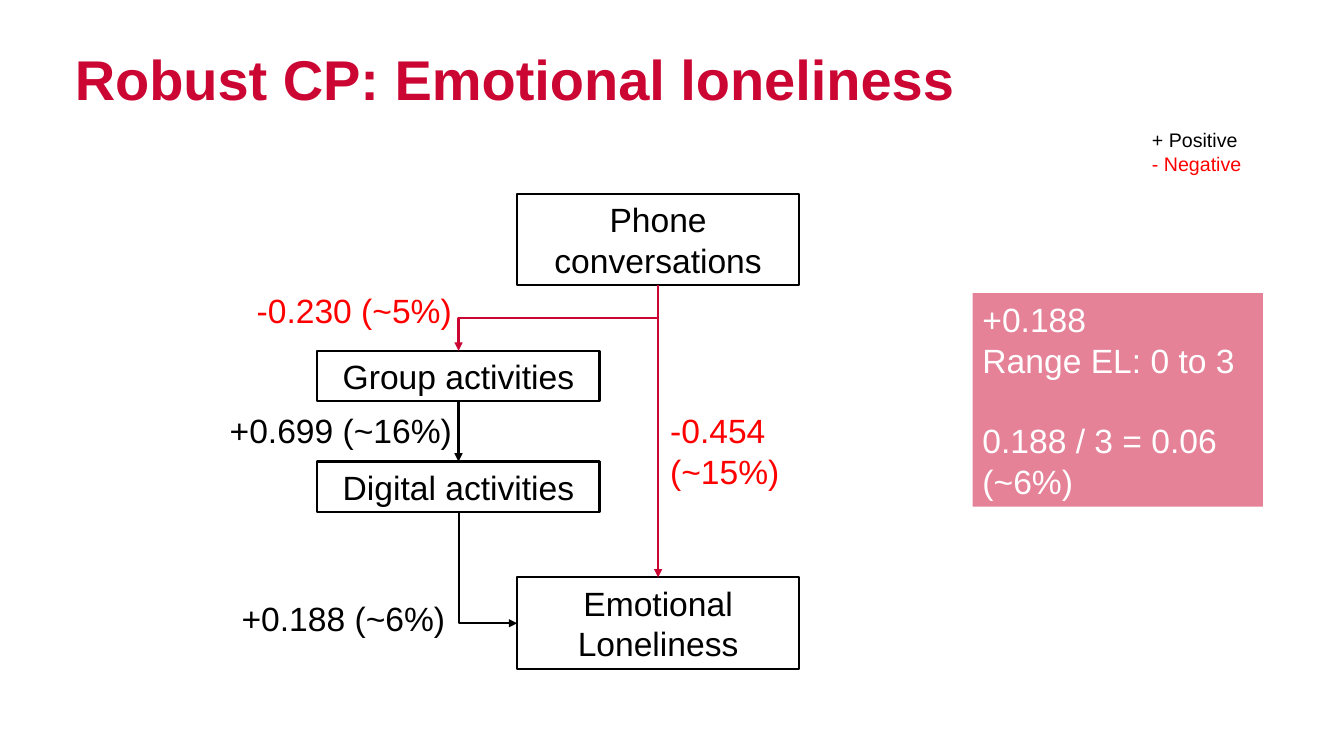
import dataclasses

import pptx
import pptx.dml.color
import pptx.enum.dml
import pptx.enum.shapes
import pptx.enum.text
import pptx.oxml
import pptx.oxml.ns
import pptx.oxml.xmlchemy
import pptx.shapes.autoshape
import pptx.shapes.connector
import pptx.slide
import pptx.text.text
import pptx.util
from pptx.util import Cm

Align = pptx.enum.text.PP_ALIGN
Connector = pptx.shapes.connector.Connector
Shape = pptx.shapes.autoshape.Shape
TOP, LEFT, BOTTOM = 0, 1, 2


@dataclasses.dataclass(frozen=True)
class Theme:
    font: str = "Arial"
    crimson: str = "CC0633"
    red: str = "FF0000"
    black: str = "000000"
    white: str = "FFFFFF"
    title_size: float = 40
    body_size: float = 24
    legend_size: float = 14
    line_width: float = 1.5
    panel_opacity: int = 50


@dataclasses.dataclass(frozen=True)
class Line:
    text: str
    color: str
    gap_before: float = 0


@dataclasses.dataclass(frozen=True)
class Block:
    lines: tuple[Line, ...]
    left: float
    top: float
    width: float
    height: float
    size: float


@dataclasses.dataclass(frozen=True)
class Path:
    start: str
    end: str
    color: str
    end_side: int = TOP
    bend: str = ""


THEME = Theme()


def rgb(color: str) -> pptx.dml.color.RGBColor:
    return pptx.dml.color.RGBColor.from_string(color)


def write(para: "pptx.text.text._Paragraph", text: str, *, color: str, size: float,
          align: Align = Align.LEFT, bold: bool = False, gap_before: float = 0) -> None:
    para.alignment = align
    para.space_before = pptx.util.Pt(gap_before)
    span = para.add_run()
    span.text = text
    span.font.name = THEME.font
    span.font.size = pptx.util.Pt(size)
    span.font.bold = bold
    span.font.color.rgb = rgb(color)


def fill_text(box: Shape, block: Block, align: Align = Align.LEFT) -> None:
    frame = box.text_frame
    frame.word_wrap = True
    frame.auto_size = pptx.enum.text.MSO_AUTO_SIZE.SHAPE_TO_FIT_TEXT
    for index, line in enumerate(block.lines):
        para = frame.add_paragraph() if index else frame.paragraphs[0]
        write(para, line.text, color=line.color, size=block.size,
              align=align, gap_before=line.gap_before)


def bounds(block: Block) -> tuple[Cm, Cm, Cm, Cm]:
    return Cm(block.left), Cm(block.top), Cm(block.width), Cm(block.height)


def add_label(page: pptx.slide.Slide, block: Block) -> None:
    fill_text(page.shapes.add_textbox(*bounds(block)), block)


def add_rectangle(page: pptx.slide.Slide, block: Block, fill: str, align: Align) -> Shape:
    box = page.shapes.add_shape(pptx.enum.shapes.MSO_SHAPE.RECTANGLE, *bounds(block))
    box.shadow.inherit = False
    box.fill.solid()
    box.fill.fore_color.rgb = rgb(fill)
    box.line.fill.background()
    fill_text(box, block, align)
    return box


def add_node(page: pptx.slide.Slide, block: Block) -> Shape:
    box = add_rectangle(page, block, THEME.white, Align.CENTER)
    box.line.color.rgb = rgb(THEME.black)
    box.line.width = pptx.util.Pt(THEME.line_width)
    return box


def add_panel(page: pptx.slide.Slide, block: Block) -> None:
    box = add_rectangle(page, block, THEME.crimson, Align.LEFT)
    tint = box.element.spPr.find(pptx.oxml.ns.qn("a:solidFill"))[0]
    alpha = pptx.oxml.xmlchemy.OxmlElement("a:alpha")
    alpha.set("val", str(THEME.panel_opacity * 1000))
    tint.append(alpha)


def bend_downwards(arrow: Connector, preset: str) -> None:
    """Turn an elbow so that it leaves its start vertically."""
    across, down = arrow.end_x - arrow.begin_x, arrow.end_y - arrow.begin_y
    middle_x = (arrow.begin_x + arrow.end_x) // 2
    middle_y = (arrow.begin_y + arrow.end_y) // 2
    frame = arrow.element.spPr.find(pptx.oxml.ns.qn("a:xfrm"))
    frame.set("flipV", "0")
    frame.set("flipH", "1" if across > 0 else "0")
    frame.set("rot", str((270 if across > 0 else 90) * 60000))
    arrow.width, arrow.height = abs(down), abs(across)
    arrow.left, arrow.top = middle_x - abs(down) // 2, middle_y - abs(across) // 2
    arrow.element.spPr.find(pptx.oxml.ns.qn("a:prstGeom")).set("prst", preset)


def add_path(page: pptx.slide.Slide, path: Path, nodes: dict[str, Shape]) -> None:
    kinds = pptx.enum.shapes.MSO_CONNECTOR
    arrow = page.shapes.add_connector(
        kinds.ELBOW if path.bend else kinds.STRAIGHT, Cm(0), Cm(0), Cm(0), Cm(0))
    arrow.begin_connect(nodes[path.start], BOTTOM)
    arrow.end_connect(nodes[path.end], path.end_side)
    if path.bend:
        bend_downwards(arrow, path.bend)
    arrow.line.color.rgb = rgb(path.color)
    arrow.line.width = pptx.util.Pt(THEME.line_width)
    head = pptx.oxml.xmlchemy.OxmlElement("a:tailEnd")
    head.set("type", "triangle")
    arrow.line._get_or_add_ln().append(head)
    arrow.element.spPr.append(pptx.oxml.xmlchemy.OxmlElement("a:effectLst"))


def node(text: str, left: float, top: float, height: float) -> Block:
    return Block((Line(text, THEME.black),), left, top, 7.11, height, THEME.body_size)


def label(text: str, color: str, left: float, top: float, width: float,
          height: float = 1.27) -> Block:
    return Block((Line(text, color),), left, top, width, height, THEME.body_size)


NODES = {
    "phone": node("Phone conversations", 13.03, 4.88, 2.31),
    "group": node("Group activities", 8, 8.84, 1.27),
    "digital": node("Digital activities", 8, 11.63, 1.27),
    "loneliness": node("Emotional Loneliness", 13.03, 14.55, 2.31),
}
PATHS = (
    Path("phone", "group", THEME.crimson, bend="bentConnector3"),
    Path("phone", "loneliness", THEME.crimson),
    Path("digital", "loneliness", THEME.black, LEFT, "bentConnector2"),
    Path("group", "digital", THEME.black),
)
LABELS = (
    Block((Line("+ Positive", THEME.black), Line("- Negative", THEME.red)),
          28.78, 3.1, 4.7, 1.45, THEME.legend_size),
    label("-0.454 (~15%)", THEME.red, 16.64, 10.21, 3.5, 2.31),
    label("-0.230 (~5%)", THEME.red, 6.22, 7.19, 5.97),
    label("+0.699 (~16%)", THEME.black, 5.54, 10.21, 6.48),
    label("+0.188 (~6%)", THEME.black, 5.84, 14.94, 6.17),
)
PANEL = Block(
    (Line("+0.188", THEME.white), Line("Range EL: 0 to 3", THEME.white),
     Line("0.188 / 3 = 0.06", THEME.white, gap_before=28.8), Line("(~6%)", THEME.white)),
    24.51, 7.39, 7.32, 5.38, THEME.body_size)


def main() -> None:
    deck = pptx.Presentation()
    deck.slide_width, deck.slide_height = Cm(33.87), Cm(19.05)
    page = deck.slides.add_slide(deck.slide_layouts.get_by_name("Title Only"))

    # Title
    title = page.shapes.title
    title.left, title.top, title.width, title.height = Cm(1.63), Cm(1.02), Cm(30.33), Cm(2.11)
    title.text_frame.vertical_anchor = pptx.enum.text.MSO_ANCHOR.MIDDLE
    heading = title.text_frame.paragraphs[0]
    heading.line_spacing = 0.9
    write(heading, "Robust CP: Emotional loneliness", color=THEME.crimson,
          size=THEME.title_size, bold=True)

    # Path diagram
    nodes = {name: add_node(page, block) for name, block in NODES.items()}
    for path in PATHS:
        add_path(page, path, nodes)

    # Legend, coefficients and worked example
    for block in LABELS:
        add_label(page, block)
    add_panel(page, PANEL)

    deck.save("out.pptx")


if __name__ == "__main__":
    main()
